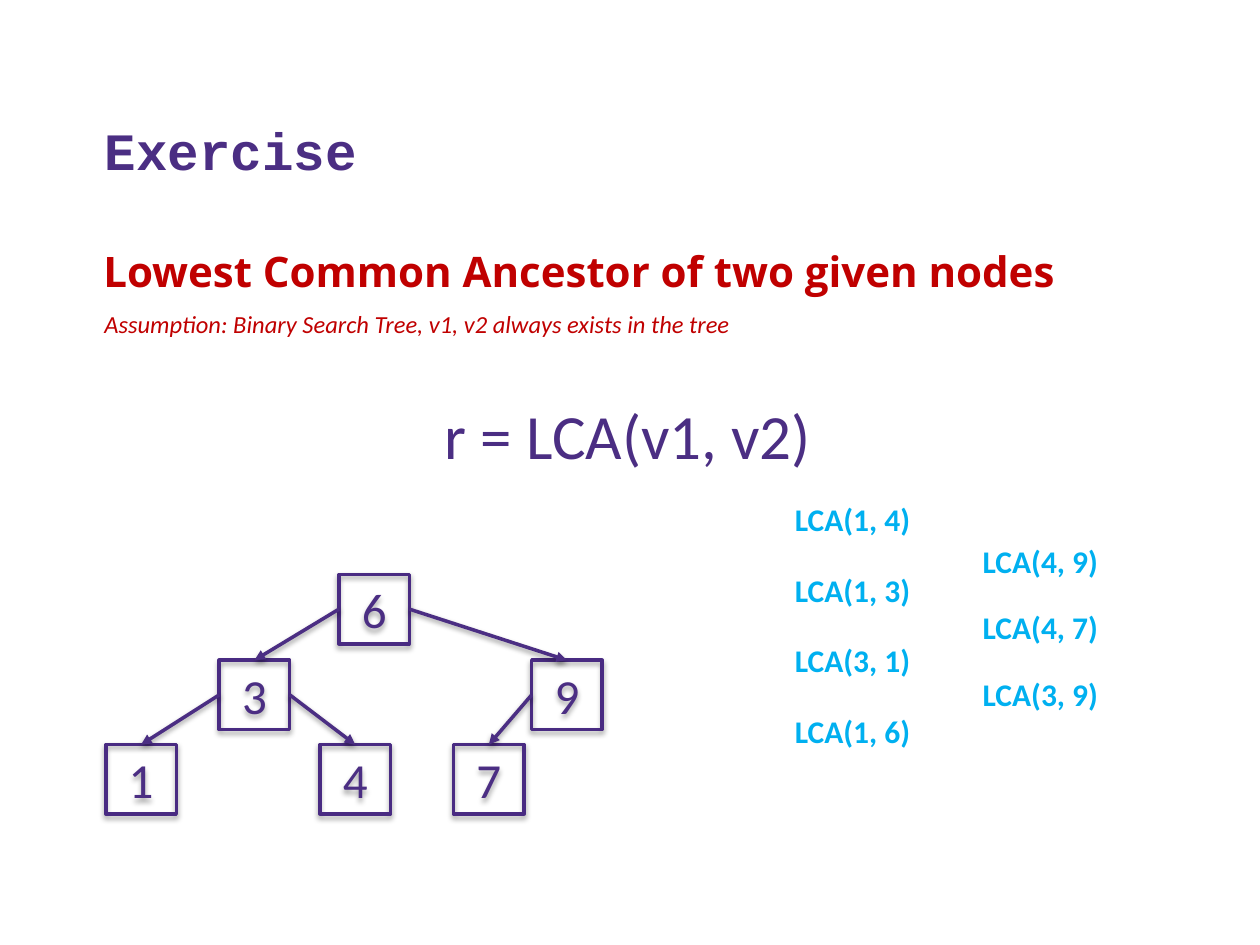
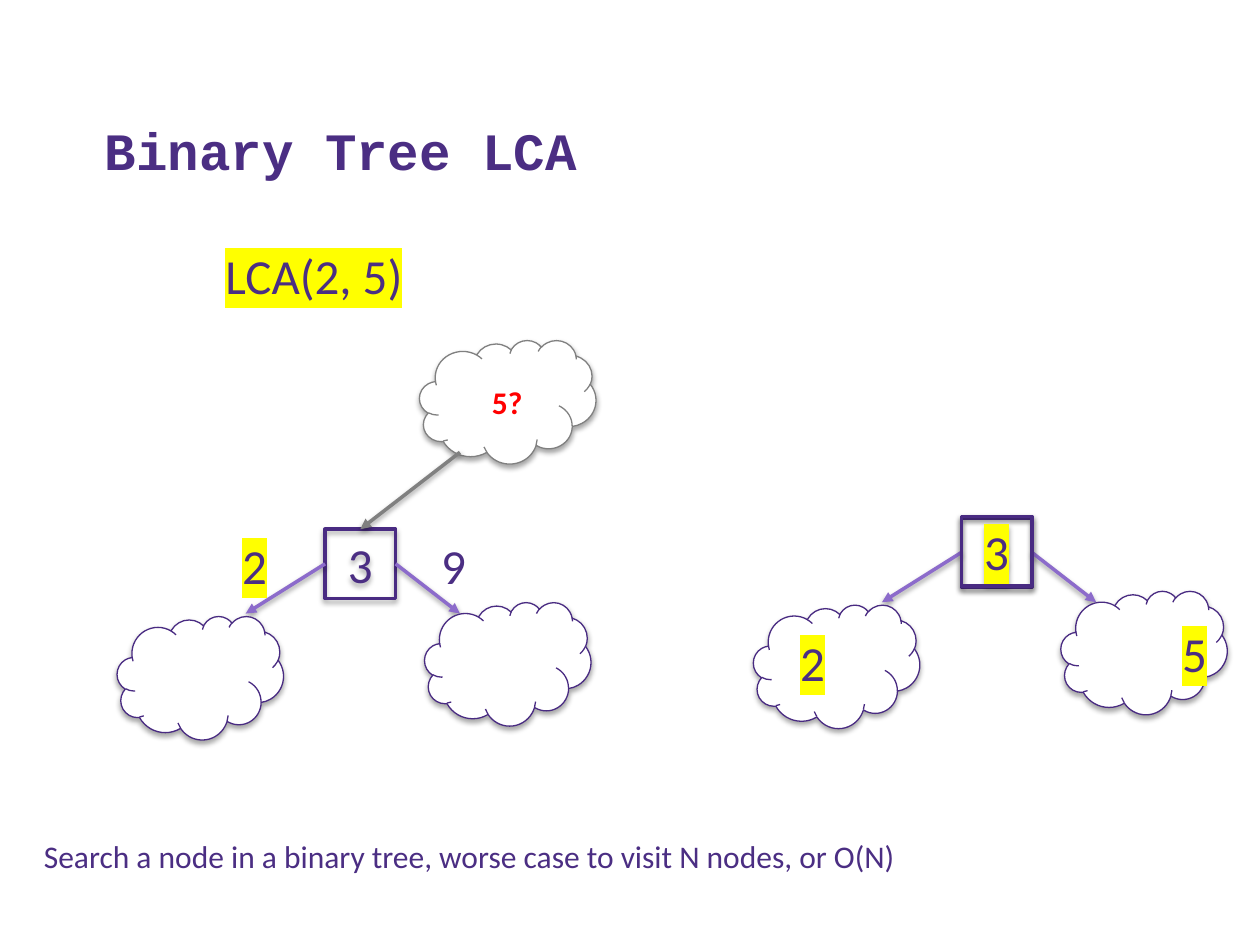
from typing import NamedTuple, Optional

from lxml.etree import SubElement
from pptx import Presentation
from pptx.dml.color import RGBColor
from pptx.enum.shapes import MSO_CONNECTOR as Connector, MSO_SHAPE as Preset
from pptx.enum.text import MSO_ANCHOR as Anchor, MSO_AUTO_SIZE as AutoSize, PP_ALIGN as Align
from pptx.oxml.ns import qn
from pptx.util import Inches, Pt

PURPLE, OUTLINE, LILAC = "4B2E83", "492B82", "8C6BCB"
CRIMSON, CYAN, RED = "C00000", "00B0F0", "FF0000"
GRAY, WHITE, YELLOW, BLACK = "808080", "FFFFFF", "FFFF00", "000000"
TOP, LEFT, RIGHT = 0, 1, 3
BOX_WIDTH, BOX_HEIGHT = 0.56, 0.55


class Style(NamedTuple):
    size: float = 28
    color: str = PURPLE
    name: str = "Calibri"
    bold: bool = False
    italic: bool = False
    highlight: Optional[str] = None
    align: Align = Align.LEFT


class Label(NamedTuple):
    text: str
    left: float
    top: float
    width: float
    height: float
    style: Style = Style()


class Node(NamedTuple):
    key: str
    left: float
    top: float
    parent: Optional[str] = None
    side: int = LEFT


TITLE = Style(30, name="Courier New", bold=True)
HEADING = Style(24, CRIMSON, "Open Sans", bold=True)
NOTE = Style(14, CRIMSON, italic=True)
CALL = Style(18, CYAN, bold=True)
DIGIT = Style(align=Align.CENTER)
MARKED_DIGIT = Style(align=Align.CENTER, highlight=YELLOW)

TREE = [
    Node("6", 2.69, 4.56),
    Node("3", 1.74, 5.24, "6"),
    Node("9", 4.22, 5.24, "6", RIGHT),
    Node("7", 3.6, 5.91, "9"),
    Node("1", 0.84, 5.91, "3"),
    Node("4", 2.54, 5.91, "3", RIGHT),
]
CALL_COLUMNS = [
    (6.21, 3.92, 0.56, ["LCA(1, 4)", "LCA(1, 3)", "LCA(3, 1)", "LCA(1, 6)"]),
    (7.7, 4.25, 0.53, ["LCA(4, 9)", "LCA(4, 7)", "LCA(3, 9)"]),
]


def rgb(color: str) -> RGBColor:
    return RGBColor.from_string(color)


def write(shape, text: str, style: Style, anchor=Anchor.TOP, wrap: bool = False) -> None:
    frame = shape.text_frame
    settings = {"word_wrap": wrap, "auto_size": AutoSize.NONE, "vertical_anchor": anchor}
    for name, value in settings.items():
        setattr(frame, name, value)
    para = frame.paragraphs[0]
    para.alignment = style.align
    para.space_before = Pt(0)
    span = para.add_run()
    span.text = text
    span.font.color.rgb = rgb(style.color)
    values = {"size": Pt(style.size), "name": style.name,
              "bold": style.bold, "italic": style.italic}
    for name, value in values.items():
        setattr(span.font, name, value)
    if style.highlight:
        properties = span._r.get_or_add_rPr()
        mark = SubElement(properties, qn("a:highlight"))
        SubElement(mark, qn("a:srgbClr"), val=style.highlight)
        properties.find(qn("a:solidFill")).addnext(mark)


def add_shadow(shape, opacity: int, distance: float) -> None:
    effects = SubElement(shape._element.spPr, qn("a:effectLst"))
    shadow = SubElement(effects, qn("a:outerShdw"), blurRad=str(Pt(3.1)),
                        dist=str(Pt(distance)), dir="5400000", rotWithShape="0")
    color = SubElement(shadow, qn("a:srgbClr"), val=BLACK)
    SubElement(color, qn("a:alpha"), val=str(opacity * 1000))


def fill_placeholder(shape, label: Label, anchor=Anchor.TOP) -> None:
    for name in ("left", "top", "width", "height"):
        setattr(shape, name, Inches(getattr(label, name)))
    write(shape, label.text, label.style, anchor, wrap=True)


def add_page(deck, layout: int, title: str):
    page = deck.slides.add_slide(deck.slide_layouts[layout])
    fill_placeholder(page.shapes.title, Label(title, 0.73, 0.41, 8.95, 1.08, TITLE), Anchor.BOTTOM)
    return page


def add_label(page, label: Label) -> None:
    box = page.shapes.add_textbox(*map(Inches, label[1:5]))
    write(box, label.text, label.style)


def add_outline(page, preset, left: float, top: float, width: float, height: float,
                color: str, weight: float, fill: Optional[str] = None):
    shape = page.shapes.add_shape(preset, *map(Inches, (left, top, width, height)))
    if fill:
        shape.fill.solid()
        shape.fill.fore_color.rgb = rgb(fill)
    else:
        shape.fill.background()
    shape.line.color.rgb = rgb(color)
    shape.line.width = Pt(weight)
    add_shadow(shape, 35, 1.8)
    return shape


def add_box(page, key: str, left: float, top: float, style: Style = DIGIT):
    box = add_outline(page, Preset.RECTANGLE, left, top, BOX_WIDTH, BOX_HEIGHT, OUTLINE, 2)
    write(box, key, style, Anchor.MIDDLE)
    return box


def add_cloud(page, left: float, top: float, width: float = 1.32, color: str = OUTLINE) -> None:
    add_outline(page, Preset.CLOUD, left, top, width, 0.98, color, 0.75, WHITE)


def add_arrow(page, color: str, start=(0, 0), end=(0, 0)):
    arrow = page.shapes.add_connector(Connector.STRAIGHT, *map(Inches, (*start, *end)))
    arrow.line.color.rgb = rgb(color)
    arrow.line.width = Pt(2)
    SubElement(arrow.line._get_or_add_ln(), qn("a:tailEnd"), type="triangle")
    add_shadow(arrow, 38, 1.6)
    return arrow


def add_tree(page, nodes: list[Node]) -> None:
    boxes = {}
    for node in nodes:
        boxes[node.key] = add_box(page, node.key, node.left, node.top)
        if node.parent:
            arrow = add_arrow(page, PURPLE)
            arrow.begin_connect(boxes[node.parent], node.side)
            arrow.end_connect(boxes[node.key], TOP)


def add_subtrees(page, left: float, top: float):
    box = add_box(page, "3", left, top)
    for side, reach in ((LEFT, -0.63), (RIGHT, 1.07)):
        arrow = add_arrow(page, LILAC, end=(left + reach, top + 0.67))
        arrow.begin_connect(box, side)
    add_cloud(page, left - 1.65, top + 0.69)
    add_cloud(page, left + 0.79, top + 0.58)
    return box


def build_exercise(deck) -> None:
    page = add_page(deck, 1, "Exercise")
    body = page.placeholders[1]
    properties = body.text_frame.paragraphs[0]._p.get_or_add_pPr()
    properties.set("marL", "0")
    properties.set("indent", "0")
    SubElement(properties, qn("a:buNone"))
    fill_placeholder(body, Label("Lowest Common Ancestor of two given nodes",
                                 0.72, 1.9, 8.96, 0.67, HEADING))
    add_tree(page, TREE)
    for left, top, step, calls in CALL_COLUMNS:
        for row, call in enumerate(calls):
            add_label(page, Label(call, left, top + row * step, 1.18, 0.4, CALL))
    add_label(page, Label("r = LCA(v1, v2)", 3.43, 3.1, 3.14, 0.71, Style(36)))
    add_label(page, Label("Assumption: Binary Search Tree, v1, v2 always exists in the tree",
                          0.73, 2.4, 5.21, 0.34, NOTE))


def build_binary_tree(deck) -> None:
    page = add_page(deck, 5, "Binary Tree LCA")
    root = add_subtrees(page, 2.58, 4.2)
    add_subtrees(page, 7.63, 4.11)
    add_cloud(page, 3.33, 2.7, 1.4, GRAY)
    add_arrow(page, GRAY, start=(3.65, 3.59)).end_connect(root, TOP)
    add_box(page, "3", 7.63, 4.1, MARKED_DIGIT)
    labels = [
        Label("LCA(2, 5)", 1.69, 1.9, 1.62, 0.57, Style(highlight=YELLOW)),
        Label("2", 1.82, 4.2, 0.4, 0.57, MARKED_DIGIT),
        Label("9", 3.4, 4.2, 0.4, 0.57, DIGIT),
        Label("2", 6.25, 4.97, 0.4, 0.57, MARKED_DIGIT),
        Label("5", 9.28, 4.9, 0.4, 0.57, MARKED_DIGIT),
        Label("5?", 3.77, 2.99, 0.51, 0.4, Style(18, RED, bold=True, align=Align.CENTER)),
        Label("Search a node in a binary tree, worse case to visit N nodes, or O(N)",
              0.25, 6.59, 7.1, 0.4, Style(18)),
    ]
    for label in labels:
        add_label(page, label)


def main() -> None:
    deck = Presentation()
    deck.slide_width, deck.slide_height = Inches(10), Inches(7.5)
    build_exercise(deck)
    build_binary_tree(deck)
    deck.save("out.pptx")


if __name__ == "__main__":
    main()
